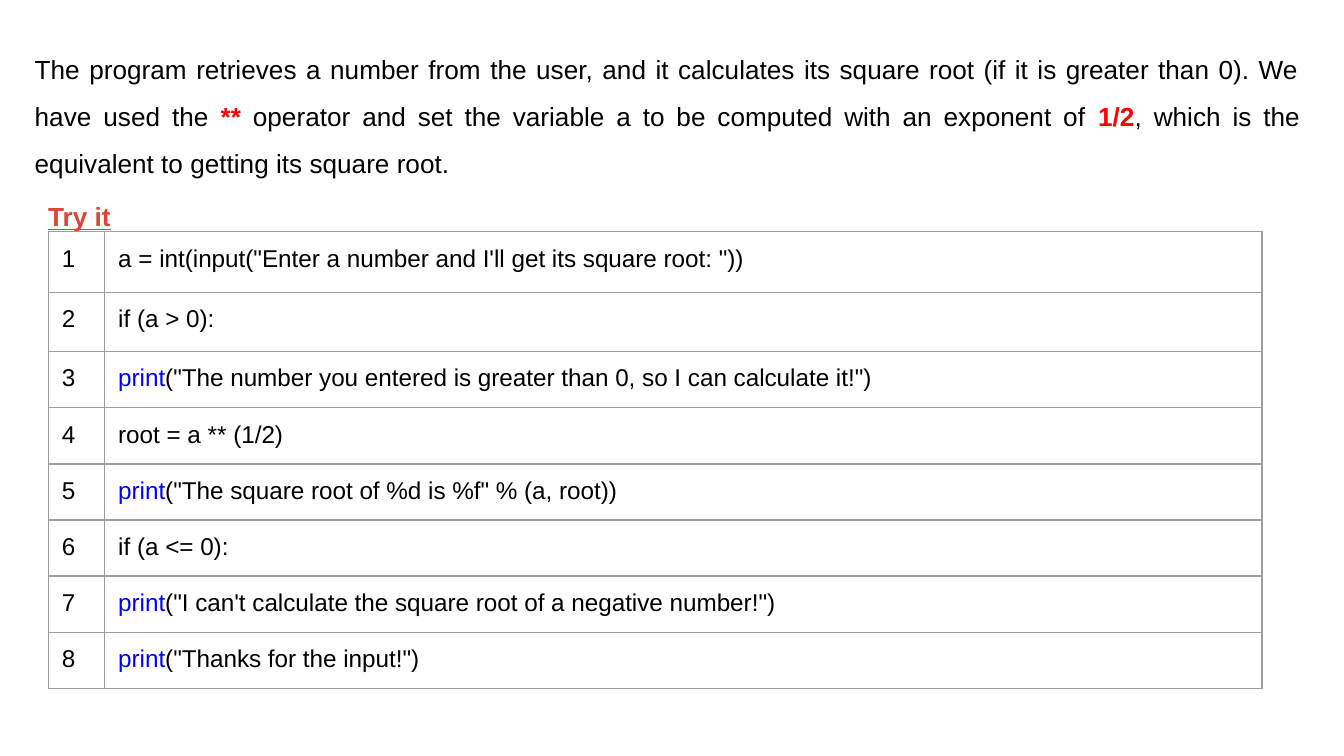
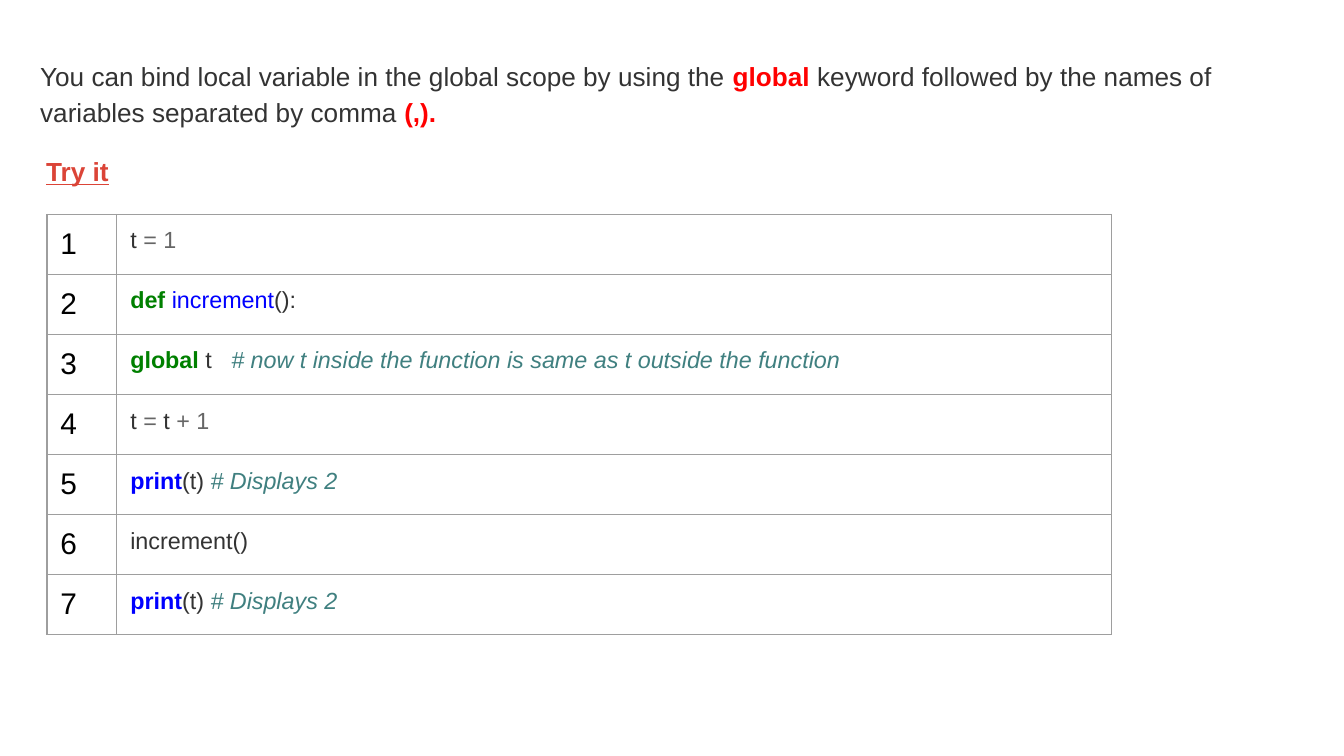
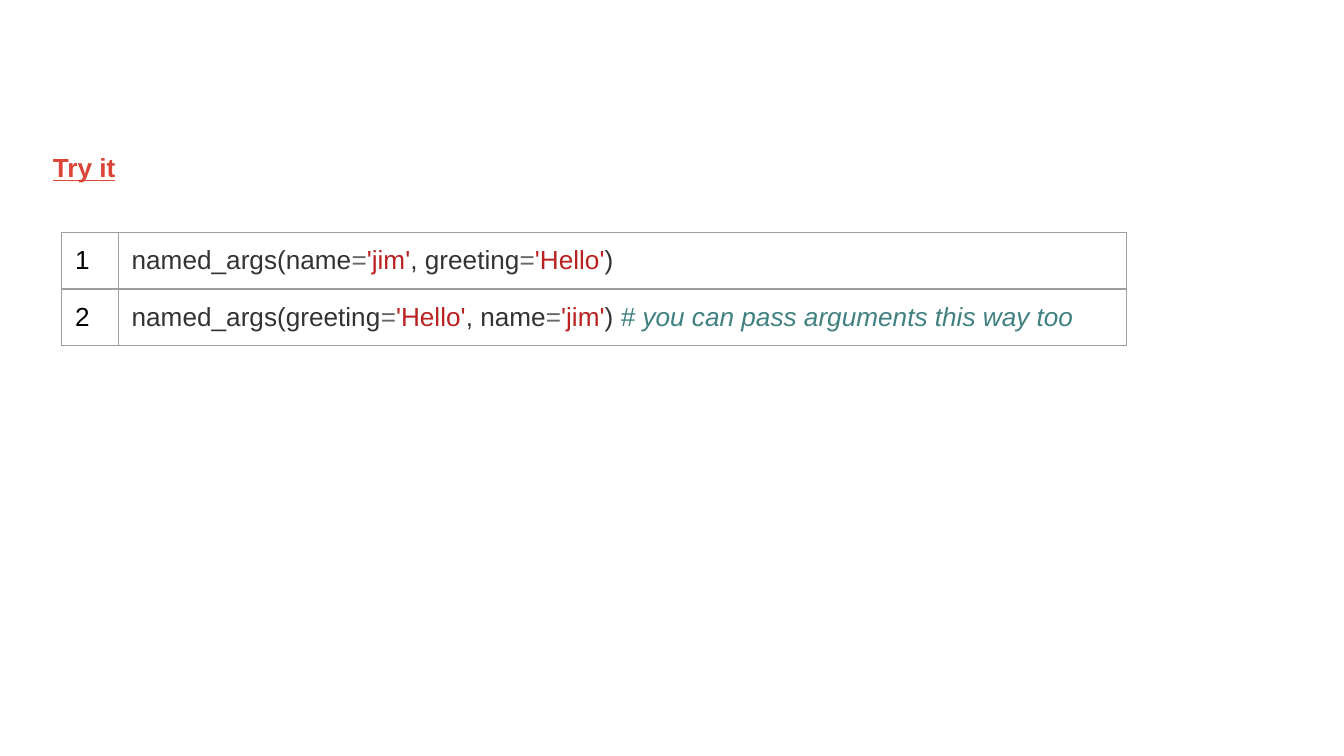
from dataclasses import dataclass

from lxml import etree
from pptx import Presentation
from pptx.dml.color import RGBColor
from pptx.enum.text import MSO_ANCHOR, PP_ALIGN
from pptx.oxml.ns import qn
from pptx.util import Pt

PX = 4572  # 200 px to the inch
BLANK = 6
TOP = MSO_ANCHOR.TOP
LEFT, JUSTIFY = PP_ALIGN.LEFT, PP_ALIGN.JUSTIFY


@dataclass(frozen=True)
class Theme:
    font: str = "Arial"
    body: float = 14
    edge: str = "9E9E9E"
    edge_pt: float = 0.75
    mark: str = "FFFFFF"
    inset: int = 20


THEME = Theme()

# Run style: colour, then b(old), i(talic), u(nderline), h(ighlight)
STYLES = {
    "black": ("000000", ""),
    "text": ("333333", ""),
    "hot": ("FF0000", "b"),
    "try": ("DB4437", "buh"),
    "op": ("666666", ""),
    "key": ("008000", "b"),
    "name": ("0000FF", ""),
    "call": ("0000FF", "b"),
    "str": ("BA2121", ""),
    "note": ("408080", "i"),
}

ROOT_TEXT = [
    ("The program retrieves a number from the user, and it calculates its "
     "square root (if it is greater than 0). We have used the ", "black"),
    ("** ", "hot"),
    ("operator and set the variable a to be computed with an exponent of ", "black"),
    ("1/2", "hot"),
    (", which is the equivalent to getting its square root. ", "black"),
]
ROOT_CODE = [
    [("a = int(input(\"Enter a number and I'll get its square root: \"))", "black")],
    [("if (a > 0):", "black")],
    [("print", "name"),
     ('("The number you entered is greater than 0, so I can calculate it!")', "black")],
    [("root = a ** (1/2)", "black")],
    [("print", "name"), ('("The square root of %d is %f" % (a, root))', "black")],
    [("if (a <= 0):", "black")],
    [("print", "name"),
     ("(\"I can't calculate the square root of a negative number!\")", "black")],
    [("print", "name"), ('("Thanks for the input!")', "black")],
]
ROOT_ROWS = [90, 88, 84, 68, 56, 60, 60, 80]

SCOPE_TEXT = [
    ("You can bind local variable in the global scope by using the ", "text"),
    ("global ", "hot"),
    ("keyword followed by the names of variables separated by comma ", "text"),
    ("(,).", "hot"),
]
SHOW = [("print", "call"), ("(t) ", "text"), ("# Displays 2", "note")]
SCOPE_CODE = [
    [("t ", "text"), ("= 1", "op")],
    [("def ", "key"), ("increment", "name"), ("():", "text")],
    [("global", "key"), (" t   ", "text"),
     ("# now t inside the function is same as t outside the function", "note")],
    [("t ", "text"), ("=", "op"), (" t ", "text"), ("+ 1", "op")],
    SHOW,
    [("increment()", "text")],
    SHOW,
]

ARGS_CODE = [
    [("named_args(name", "text"), ("=", "op"), ("'jim'", "str"),
     (", greeting", "text"), ("=", "op"), ("'Hello'", "str"), (")", "text")],
    [("named_args(greeting", "text"), ("=", "op"), ("'Hello'", "str"),
     (", name", "text"), ("=", "op"), ("'jim'", "str"), (") ", "text"),
     ("# you can pass arguments this way too", "note")],
]


def px(*sizes):
    return [size * PX for size in sizes]


def add_mark(run):
    """Put a highlight behind a run, right after its colour."""
    mark = etree.Element(qn("a:highlight"))
    etree.SubElement(mark, qn("a:srgbClr"), val=THEME.mark)
    run._r.get_or_add_rPr().find(qn("a:solidFill")).addnext(mark)


def add_runs(para, parts, size):
    for text, style in parts:
        run = para.add_run()
        run.text = text
        color, flags = STYLES[style]
        font = run.font
        font.name, font.size = THEME.font, Pt(size)
        font.color.rgb = RGBColor.from_string(color)
        font.bold = "b" in flags
        font.italic = "i" in flags
        font.underline = "u" in flags
        if "h" in flags:
            add_mark(run)


def set_inset(item, foot=THEME.inset):
    item.margin_left = item.margin_right = item.margin_top = THEME.inset * PX
    item.margin_bottom = foot * PX
    item.vertical_anchor = TOP


def add_text(slide, box, parts, align=JUSTIFY, lines=1.5):
    frame = slide.shapes.add_textbox(*px(*box)).text_frame
    frame.word_wrap = True
    set_inset(frame)
    para = frame.paragraphs[0]
    para.alignment, para.line_spacing = align, lines
    add_runs(para, parts, THEME.body)


def add_try(slide, box):
    add_text(slide, box, [("Try it", "try")])


def add_edges(cell):
    props = cell._tc.get_or_add_tcPr()
    for side in "LRTB":
        line = etree.SubElement(props, qn(f"a:ln{side}"), w=str(Pt(THEME.edge_pt)))
        fill = etree.SubElement(line, qn("a:solidFill"))
        etree.SubElement(fill, qn("a:srgbClr"), val=THEME.edge)


def fill_cell(cell, parts, size, foot):
    set_inset(cell, foot)
    add_edges(cell)
    cell.fill.background()
    add_runs(cell.text_frame.paragraphs[0], parts, size)


def add_code(slide, spot, cols, rows, code, sizes, foot=16):
    """Table of numbered code lines; sizes are those of number and code."""
    frame = slide.shapes.add_table(
        len(code), len(cols), *px(*spot, sum(cols), sum(rows)))
    table = frame.table
    table.first_row = table.horz_banding = False
    for col, width in zip(table.columns, cols):
        col.width = width * PX
    for num, (row, height, line) in enumerate(zip(table.rows, rows, code), 1):
        row.height = height * PX
        label = [(str(num), "black")]
        for cell, parts, size in zip(row.cells, (label, line), sizes):
            fill_cell(cell, parts, size, foot)


def root_slide(slide):
    add_text(slide, (32, 36, 1922, 248), ROOT_TEXT)
    add_try(slide, (52, 255, 656, 88))
    add_code(slide, (72, 345), (84, 1722), ROOT_ROWS, ROOT_CODE,
             (13, 13), THEME.inset)


def scope_slide(slide):
    add_text(slide, (40, 63, 1864, 186), SCOPE_TEXT, LEFT, 1.15)
    add_code(slide, (70, 319), (104, 1480), [84] * 7, SCOPE_CODE, (16, 12.5))
    add_try(slide, (49, 188, 1864, 132))


def args_slide(slide):
    add_try(slide, (59, 182, 1864, 132))
    add_code(slide, (92, 346), (84, 1500), [84] * 2, ARGS_CODE, (14, 14))


def main():
    deck = Presentation()
    deck.slide_width, deck.slide_height = px(2000, 1125)
    for build in (root_slide, scope_slide, args_slide):
        build(deck.slides.add_slide(deck.slide_layouts[BLANK]))
    deck.save("out.pptx")


if __name__ == "__main__":
    main()
